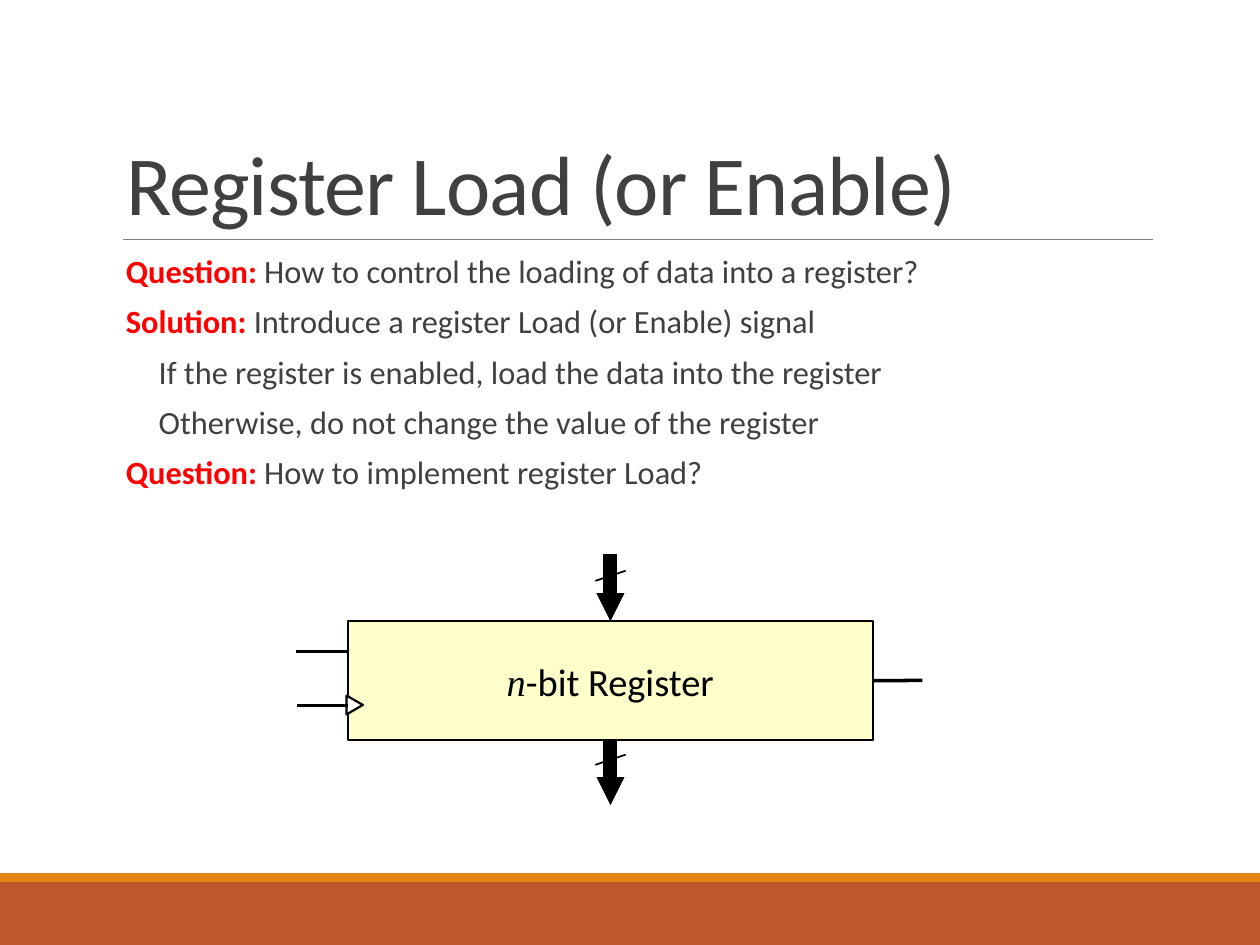
from dataclasses import dataclass
from typing import Optional

import pptx
import pptx.dml.color
import pptx.enum.shapes
import pptx.enum.text
import pptx.oxml.ns
import pptx.util
from lxml import etree

COLUMNS, ROWS = 100, 75
SLIDE_WIDTH, SLIDE_HEIGHT = pptx.util.Inches(10), pptx.util.Inches(7.5)
TOP, BOTTOM, RIGHT = 0, 2, 3


@dataclass(frozen=True)
class Theme:
    font: str = "Calibri"
    math_font: str = "Times New Roman"
    text: str = "404040"
    keyword: str = "FF0000"
    accent: str = "E48312"
    footer: str = "BD582C"
    rule: str = "808080"
    ink: str = "000000"
    register: str = "FFFFCC"
    paper: str = "FFFFFF"
    title_size: float = 48
    body_size: float = 18.5
    label_size: float = 22


@dataclass(frozen=True)
class Box:
    """A rectangle in grid columns and rows."""
    left: float
    top: float
    width: float
    height: float

    @property
    def middle(self) -> float:
        return self.left + self.width / 2

    @property
    def bottom(self) -> float:
        return self.top + self.height

    @property
    def right(self) -> float:
        return self.left + self.width


@dataclass(frozen=True)
class Wire:
    start: tuple[float, float]
    end: tuple[float, float]
    weight: float = 2
    arrow: bool = False
    begin_side: Optional[int] = None
    end_side: Optional[int] = None


@dataclass(frozen=True)
class Statement:
    text: str
    keyword: str = ""


THEME = Theme()
TITLE = Box(9, 3.1, 82.5, 15.9)
BODY = Box(9, 20.3, 69.7, 19.6)
FOOTER = Box(0, 70, COLUMNS, 5)
STRIPE = Box(0, 69.3, COLUMNS, 0.7)
REGISTER = Box(27.6, 49.3, 41.7, 9.45)
CLOCK_MARK = Box(27.4, 55.3, 1.5, 1.3)

STATEMENTS = [
    Statement(" How to control the loading of data into a register?", "Question:"),
    Statement(" Introduce a register Load (or Enable) signal", "Solution:"),
    Statement("If the register is enabled, load the data into the register"),
    Statement("Otherwise, do not change the value of the register"),
    Statement(" How to implement register Load?", "Question:"),
]


def bus_slash(row: float) -> Wire:
    """The short stroke that marks a bus, centred on the given row."""
    return Wire((REGISTER.middle - 1.2, row + 0.4), (REGISTER.middle + 1.2, row - 0.4), 1)


WIRES = [
    Wire((REGISTER.right, 54), (73.2, 54), begin_side=RIGHT),
    Wire((23.6, 56), (REGISTER.left, 56)),
    Wire((23.5, 51.7), (REGISTER.left, 51.7)),
    Wire((REGISTER.middle, 44), (REGISTER.middle, REGISTER.top), 8, True, end_side=TOP),
    bus_slash(45.7),
    Wire((REGISTER.middle, REGISTER.bottom), (REGISTER.middle, 63.9), 8, True, begin_side=BOTTOM),
    bus_slash(60.3),
]


def column(count: float) -> int:
    return round(SLIDE_WIDTH * count / COLUMNS)


def row(count: float) -> int:
    return round(SLIDE_HEIGHT * count / ROWS)


def frame(box: Box) -> tuple[int, int, int, int]:
    return column(box.left), row(box.top), column(box.width), row(box.height)


def rgb(value: str) -> pptx.dml.color.RGBColor:
    return pptx.dml.color.RGBColor.from_string(value)


def add_run(paragraph, text: str, size: float, color: str, font: str = THEME.font,
            bold: bool = False, italic: bool = False):
    run = paragraph.add_run()
    run.text = text
    run.font.name, run.font.size = font, pptx.util.Pt(size)
    run.font.bold, run.font.italic = bold, italic
    run.font.color.rgb = rgb(color)
    return run


def add_block(slide, box: Box, fill: str, outline: Optional[str] = None,
              kind=pptx.enum.shapes.MSO_SHAPE.RECTANGLE):
    shape = slide.shapes.add_shape(kind, *frame(box))
    shape.shadow.inherit = False
    shape.fill.solid()
    shape.fill.fore_color.rgb = rgb(fill)
    if outline:
        shape.line.color.rgb = rgb(outline)
        shape.line.width = pptx.util.Pt(1.25)
    else:
        shape.line.fill.background()
    return shape


def add_wire(slide, wire: Wire, color: str = THEME.ink, block=None) -> None:
    connector = slide.shapes.add_connector(
        pptx.enum.shapes.MSO_CONNECTOR.STRAIGHT,
        column(wire.start[0]), row(wire.start[1]), column(wire.end[0]), row(wire.end[1]))
    connector.line.color.rgb = rgb(color)
    connector.line.width = pptx.util.Pt(wire.weight)
    if wire.arrow:
        etree.SubElement(connector.line._get_or_add_ln(), pptx.oxml.ns.qn("a:tailEnd"),
                         type="triangle", w="sm", len="sm")
    etree.SubElement(connector._element.spPr, pptx.oxml.ns.qn("a:effectLst"))
    if wire.begin_side is not None:
        connector.begin_connect(block, wire.begin_side)
    if wire.end_side is not None:
        connector.end_connect(block, wire.end_side)


def set_title(slide, text: str) -> None:
    title = slide.shapes.title
    title.left, title.top, title.width, title.height = frame(TITLE)
    title.text_frame.vertical_anchor = pptx.enum.text.MSO_ANCHOR.BOTTOM
    title.text_frame.auto_size = pptx.enum.text.MSO_AUTO_SIZE.NONE
    paragraph = title.text_frame.paragraphs[0]
    paragraph.alignment = pptx.enum.text.PP_ALIGN.LEFT
    paragraph.line_spacing = 0.85
    run = add_run(paragraph, text, THEME.title_size, THEME.text)
    run.font._element.set("spc", "-50")


def add_statements(slide) -> None:
    text_frame = slide.shapes.add_textbox(*frame(BODY)).text_frame
    text_frame.word_wrap = True
    text_frame.margin_left = text_frame.margin_right = 0
    for index, statement in enumerate(STATEMENTS):
        paragraph = text_frame.add_paragraph() if index else text_frame.paragraphs[0]
        properties = paragraph._p.get_or_add_pPr()
        properties.set("marL", str(column(1 if statement.keyword else 3.6)))
        paragraph.line_spacing = 0.7
        paragraph.space_before = pptx.util.Pt(11.1 if index else 0)
        paragraph.space_after = pptx.util.Pt(2)
        if statement.keyword:
            add_run(paragraph, statement.keyword, THEME.body_size, THEME.keyword, bold=True)
        add_run(paragraph, statement.text, THEME.body_size, THEME.text)


def add_register(slide) -> None:
    register = add_block(slide, REGISTER, THEME.register, THEME.ink)
    register.text_frame.vertical_anchor = pptx.enum.text.MSO_ANCHOR.MIDDLE
    paragraph = register.text_frame.paragraphs[0]
    paragraph.alignment = pptx.enum.text.PP_ALIGN.CENTER
    add_run(paragraph, "n", THEME.label_size, THEME.ink, THEME.math_font, italic=True)
    add_run(paragraph, "-bit Register", THEME.label_size, THEME.ink)
    clock_mark = add_block(slide, CLOCK_MARK, THEME.paper, THEME.ink,
                           pptx.enum.shapes.MSO_SHAPE.ISOSCELES_TRIANGLE)
    clock_mark.rotation = 90
    for wire in WIRES:
        add_wire(slide, wire, block=register)


def main() -> None:
    presentation = pptx.Presentation()
    presentation.slide_width, presentation.slide_height = SLIDE_WIDTH, SLIDE_HEIGHT
    slide = presentation.slides.add_slide(presentation.slide_layouts.get_by_name("Title Only"))
    add_block(slide, FOOTER, THEME.footer)
    add_block(slide, STRIPE, THEME.accent)
    add_wire(slide, Wire((9.8, 19), (91.5, 19), 0.5), THEME.rule)
    set_title(slide, "Register Load (or Enable)")
    add_statements(slide)
    add_register(slide)
    presentation.save("out.pptx")


if __name__ == "__main__":
    main()
